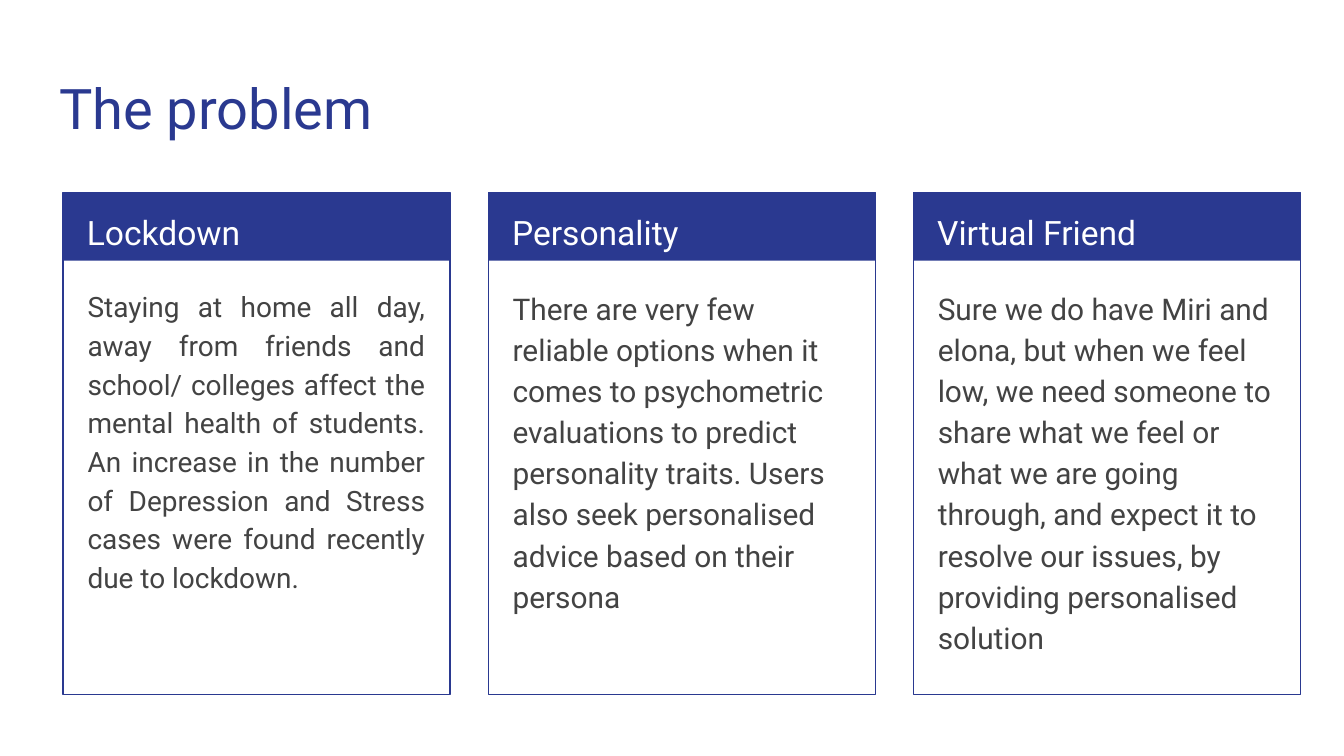
from pptx import Presentation
from pptx.dml.color import RGBColor as Rgb
from pptx.enum.shapes import MSO_SHAPE as Kind
from pptx.enum.text import MSO_ANCHOR as Anchor, MSO_AUTO_SIZE as Fit, PP_ALIGN as Align
from pptx.util import Pt

HUES = {"navy": "2A3990", "white": "FFFFFF", "gray": "434343"}
FONT = "Roboto"

# Card grid, in points
LEFT, TOP, STEP = 33.8, 103, 227.75
WIDE, TALL, HEAD = 207.4, 269.2, 36.6

# Heading, text, format of the text
CARDS = [
    ("Lockdown",
     "Staying at home all day, away from friends and school/ colleges affect "
     "the mental health of students. An increase in the number of Depression "
     "and Stress cases were found recently due to lockdown.",
     {"size": 15, "align": Align.JUSTIFY}),
    ("Personality",
     "There are very few reliable options when it comes to psychometric "
     "evaluations to predict personality traits. Users also seek personalised "
     "advice based on their persona",
     {"size": 16}),
    ("Virtual Friend",
     "Sure we do have Miri and elona, but when we feel low, we need someone to "
     "share what we feel or what we are going through, and expect it to "
     "resolve our issues, by providing personalised solution",
     {"size": 16}),
]


def hue(name):
    return Rgb.from_string(HUES[name])


def write(shape, text, size=18, color="gray", align=Align.LEFT, space=1.15, after=0):
    frame = shape.text_frame
    frame.word_wrap = True
    frame.auto_size = Fit.NONE
    frame.vertical_anchor = Anchor.TOP
    frame.margin_left = frame.margin_right = Pt(7.2)
    frame.margin_top = frame.margin_bottom = Pt(7.2)
    para = frame.paragraphs[0]
    para.alignment, para.line_spacing = align, space
    para.space_before, para.space_after = Pt(0), Pt(after)
    run = para.add_run()
    run.text = text
    run.font.name, run.font.size = FONT, Pt(size)
    run.font.color.rgb = hue(color)


def place(shape, x, y, w, h):
    shape.left, shape.top, shape.width, shape.height = Pt(x), Pt(y), Pt(w), Pt(h)


def add_rect(slide, x, y, w, h, fill=None, line=None):
    rect = slide.shapes.add_shape(Kind.RECTANGLE, Pt(x), Pt(y), Pt(w), Pt(h))
    rect.shadow.inherit = False
    if fill:
        rect.fill.solid()
        rect.fill.fore_color.rgb = hue(fill)
    else:
        rect.fill.background()
    if line:
        rect.line.color.rgb = hue(line)
        rect.line.width = Pt(0.75)
    else:
        rect.line.fill.background()


def add_text(slide, x, y, w, h, text, **style):
    box = slide.shapes.add_textbox(Pt(x), Pt(y), Pt(w), Pt(h))
    write(box, text, **style)


def add_card(slide, x, head, body, style):
    add_rect(slide, x, TOP, WIDE, HEAD, fill="navy")
    add_rect(slide, x, TOP, WIDE, TALL, line="navy")
    add_text(slide, x + 5.7, TOP, 196.5, 36, head, color="white")
    add_text(slide, x + 6, TOP + 42.5, 195.1, 220.3, body, after=16, **style)


def main():
    deck = Presentation()
    deck.slide_width, deck.slide_height = Pt(720), Pt(405)
    slide = deck.slides.add_slide(deck.slide_layouts[5])

    # Title
    title = slide.shapes.title
    place(title, 24.5, 32.4, 671, 47.5)
    write(title, "The problem", size=30, color="navy", space=1)

    # Cards
    for i, card in enumerate(CARDS):
        add_card(slide, LEFT + i * STEP, *card)

    deck.save("out.pptx")


main()
